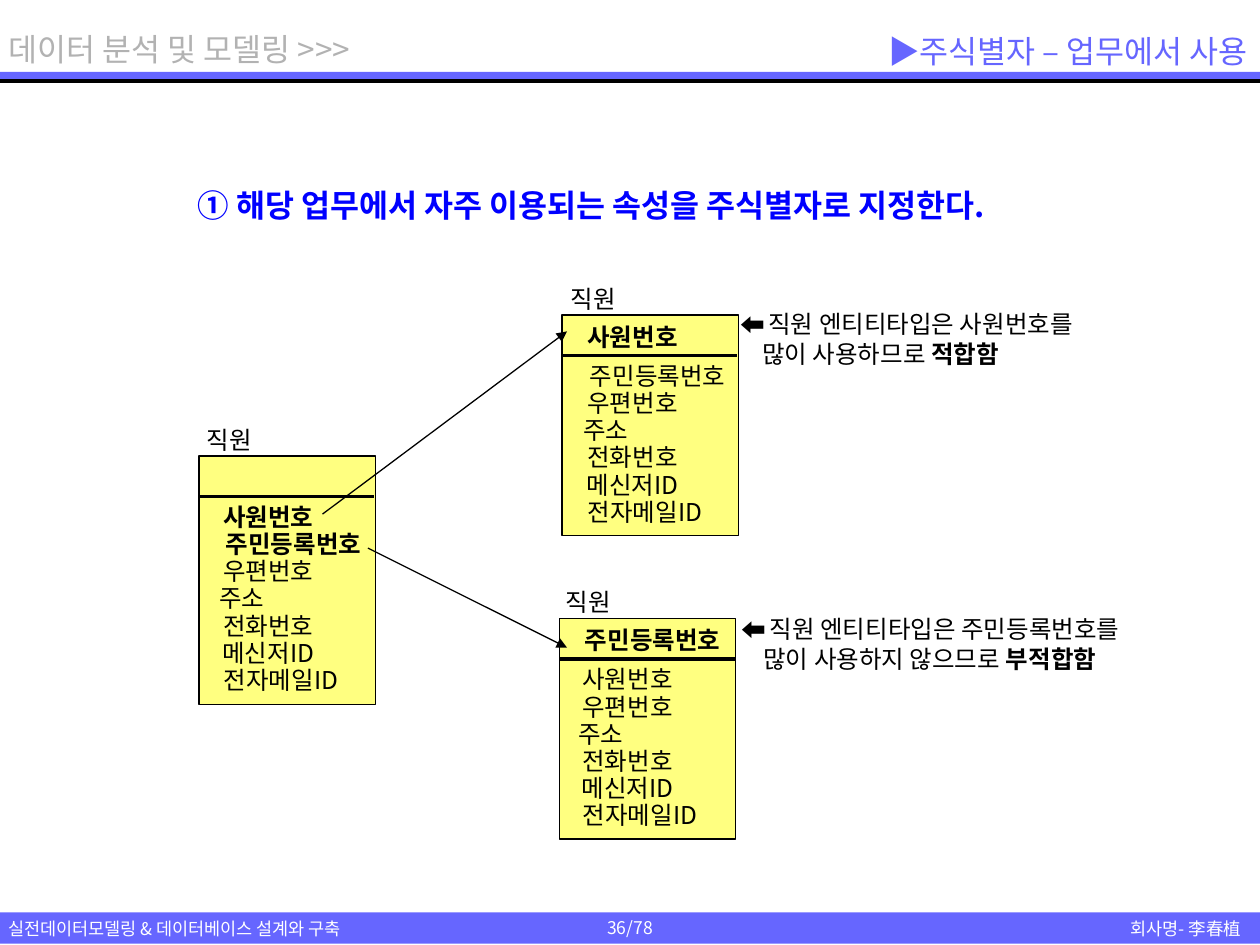
from lxml import etree
from pptx import Presentation
from pptx.dml.color import RGBColor
from pptx.enum.shapes import MSO_CONNECTOR, MSO_SHAPE
from pptx.enum.text import MSO_ANCHOR, MSO_AUTO_SIZE, PP_ALIGN
from pptx.oxml.ns import qn
from pptx.util import Inches, Pt

FONT = "Noto Sans CJK KR"
PERIWINKLE = RGBColor(0x66, 0x66, 0xFF)
BLUE = RGBColor(0x00, 0x00, 0xFF)
BLACK = RGBColor(0x00, 0x00, 0x00)
WHITE = RGBColor(0xFF, 0xFF, 0xFF)
GRAY = RGBColor(0xB2, 0xB2, 0xB2)
YELLOW = RGBColor(0xFF, 0xFF, 0x80)
LEFT, CENTER, RIGHT = PP_ALIGN.LEFT, PP_ALIGN.CENTER, PP_ALIGN.RIGHT
TOP, MIDDLE = MSO_ANCHOR.TOP, MSO_ANCHOR.MIDDLE
RECTANGLE = MSO_SHAPE.RECTANGLE
STRAIGHT = MSO_CONNECTOR.STRAIGHT
NO_AUTOFIT = MSO_AUTO_SIZE.NONE

ENTITY_NAME = "직원"
ENTITY_WIDTH = 1.4
KEY_HEIGHT = 0.32
LABEL_HEIGHT = 0.23
ROW_STEP = 1.08 / 5
CONTACTS = ["우편번호", "주소", "전화번호", "메신저ID", "전자메일ID"]
LABEL_PLACES = {
    "직원": (0.07, 0.36),
    "사원번호": (0.2, 0.72),
    "주민등록번호": (0.22, 1.08),
    "우편번호": (0.2, 0.72),
    "주소": (0.17, 0.36),
    "전화번호": (0.2, 0.72),
    "메신저ID": (0.15, 0.82),
    "전자메일ID": (0.16, 1),
}


def format_paragraph(para, size, color, bold=False, align=LEFT):
    para.alignment = align
    para.line_spacing = Pt(round(size * 1.22))
    font = para.font
    font.name, font.size, font.bold = FONT, Pt(size), bold
    font.color.rgb = color
    defaults = para._p.pPr.find(qn("a:defRPr"))
    etree.SubElement(defaults, qn("a:ea"), typeface=FONT)


def write_text(shape, text, size, color, bold=False, align=LEFT, anchor=TOP):
    frame = shape.text_frame
    frame.word_wrap = align != CENTER
    frame.auto_size = NO_AUTOFIT
    frame.vertical_anchor = anchor
    frame.text = text
    format_paragraph(frame.paragraphs[0], size, color, bold, align)
    return frame


def add_text(shapes, place, text, size, color, bold=False, align=LEFT):
    box = shapes.add_textbox(*map(Inches, place))
    return write_text(box, text, size, color, bold, align)


def add_rectangle(shapes, place, fill, outlined=False):
    box = shapes.add_shape(RECTANGLE, *map(Inches, place))
    box.shadow.inherit = False
    box.fill.solid()
    box.fill.fore_color.rgb = fill
    if outlined:
        box.line.color.rgb = BLACK
        box.line.width = Pt(0)
    else:
        box.line.fill.background()
    return box


def add_line(shapes, start, end, width=0.75, arrow=False):
    line = shapes.add_connector(STRAIGHT, *map(Inches, start + end))
    line.line.color.rgb = BLACK
    line.line.width = Pt(width)
    properties = line._element.spPr
    if arrow:
        etree.SubElement(properties.find(qn("a:ln")), qn("a:tailEnd"), type="triangle")
    etree.SubElement(properties, qn("a:effectLst"))


def add_label(shapes, text_left, top, text, bold=False):
    offset, width = LABEL_PLACES[text]
    place = (text_left + offset, top, width, LABEL_HEIGHT)
    frame = add_text(shapes, place, text, 14, BLACK, bold, CENTER)
    frame.margin_left = frame.margin_right = frame.margin_top = frame.margin_bottom = 0


def add_entity(slide, left, top, height, text_left, key, attributes, candidates=()):
    shapes = slide.shapes.add_group_shape().shapes
    add_rectangle(shapes, (left, top, ENTITY_WIDTH, height), YELLOW, outlined=True)
    add_label(shapes, text_left, top - 0.25, ENTITY_NAME)
    divider = top + KEY_HEIGHT
    add_line(shapes, (left, divider), (left + ENTITY_WIDTH - 0.01, divider), width=0)
    if key:
        add_label(shapes, text_left, top + 0.05, key, bold=True)
    for row, attribute in enumerate(attributes):
        row_top = top + 0.36 + row * ROW_STEP
        add_label(shapes, text_left, row_top, attribute, attribute in candidates)


def add_note(slide, place, first_line, second_line, verdict):
    frame = add_text(slide.shapes, place, first_line, 14, BLACK)
    bulleted = frame.paragraphs[0]._p.pPr
    bulleted.set("marL", str(Inches(0.22)))
    bulleted.set("indent", str(-Inches(0.22)))
    defaults = bulleted.find(qn("a:defRPr"))
    bullet_font = etree.Element(qn("a:buFont"), typeface=FONT)
    bullet = etree.Element(qn("a:buChar"), char="⬅")
    defaults.addprevious(bullet_font)
    defaults.addprevious(bullet)
    para = frame.add_paragraph()
    format_paragraph(para, 14, BLACK)
    para._p.pPr.set("marL", str(Inches(0.17)))
    para._p.pPr.set("indent", "0")
    para.add_run().text = second_line
    span = para.add_run()
    span.text = verdict
    span.font.bold = True


def add_frame(slide):
    shapes = slide.shapes
    footer = add_rectangle(shapes, (0, 7.24, 10, 0.25), PERIWINKLE)
    write_text(footer, "36/78", 10, WHITE, align=CENTER, anchor=MIDDLE)
    add_rectangle(shapes, (0, 0.57, 10, 0.06), PERIWINKLE)
    for height in (0.63, 0.64, 0.65):
        add_line(shapes, (0, height), (10, height))
    add_text(shapes, (-0.03, 7.24, 3.13, 0.27),
             "실전데이터모델링 & 데이터베이스 설계와 구축", 10, WHITE)
    add_text(shapes, (8.62, 7.24, 1.33, 0.27), "회사명- 李春植", 10, WHITE, align=RIGHT)
    add_text(shapes, (-0.03, 0.18, 3.11, 0.4), "데이터 분석 및 모델링 >>>", 18, GRAY)


def add_title(slide):
    title = slide.shapes.title
    title.left, title.top, title.width, title.height = map(Inches, (5, 0.19, 5, 0.43))
    write_text(title, "▶주식별자 – 업무에서 사용", 18, PERIWINKLE, align=RIGHT, anchor=MIDDLE)


def main():
    deck = Presentation()
    deck.slide_width, deck.slide_height = Inches(10), Inches(7.5)
    slide = deck.slides.add_slide(deck.slide_layouts[5])
    add_frame(slide)
    add_title(slide)
    add_text(slide.shapes, (1.47, 1.42, 7.05, 0.4),
             "① 해당 업무에서 자주 이용되는 속성을 주식별자로 지정한다.", 18, BLUE, bold=True)

    keys = ["사원번호", "주민등록번호"]
    add_entity(slide, 4.46, 2.5, 1.75, 4.46, keys[0], [keys[1]] + CONTACTS)
    add_entity(slide, 1.58, 3.62, 1.97, 1.57, None, keys + CONTACTS, candidates=keys)
    add_entity(slide, 4.44, 4.91, 1.75, 4.42, keys[1], [keys[0]] + CONTACTS)
    add_line(slide.shapes, (2.56, 4.08), (4.5, 2.63), arrow=True)
    add_line(slide.shapes, (2.92, 4.35), (4.5, 5.14), arrow=True)

    add_note(slide, (5.78, 2.4, 3.02, 0.57),
             "직원 엔티티타입은 사원번호를", "많이 사용하므로 ", "적합함")
    add_note(slide, (5.79, 4.82, 3.38, 0.57),
             "직원 엔티티타입은 주민등록번호를", "많이 사용하지 않으므로 ", "부적합함")
    deck.save("out.pptx")


if __name__ == "__main__":
    main()
